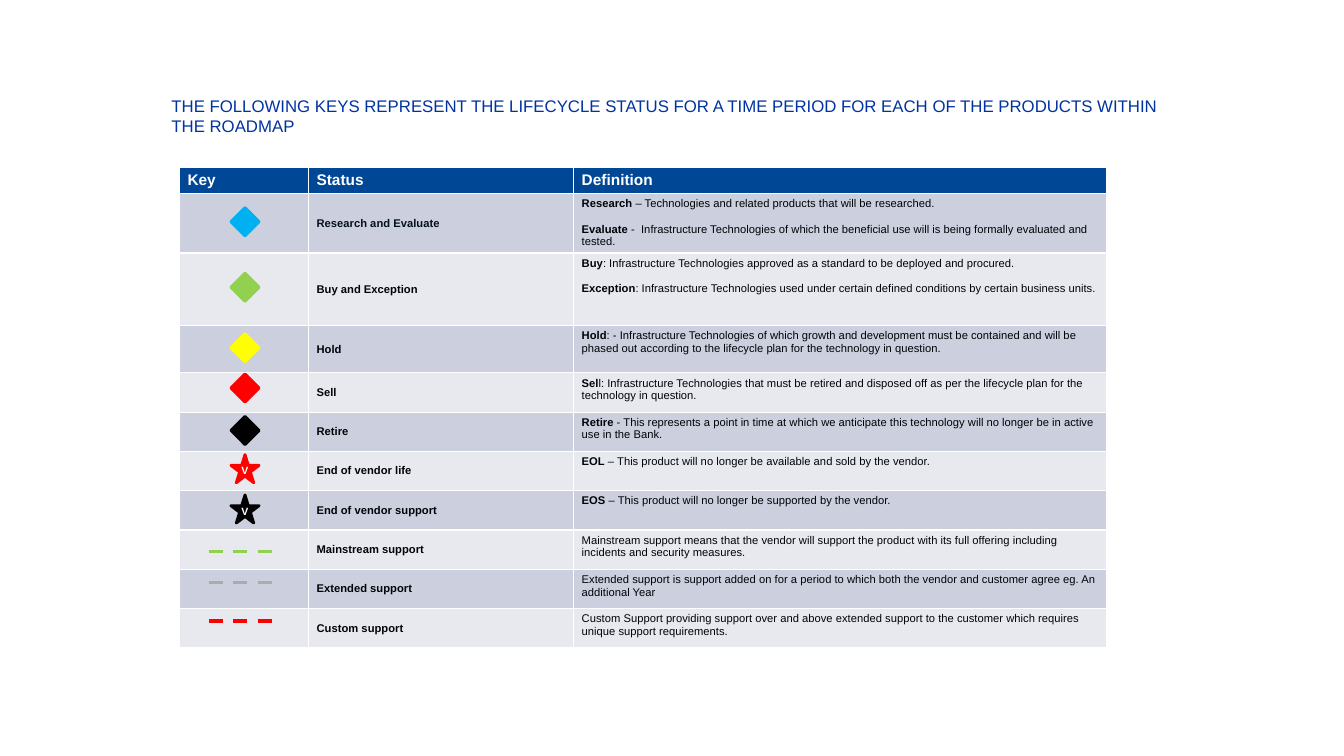
from lxml.etree import SubElement
from pptx import Presentation
from pptx.dml.color import RGBColor
from pptx.enum.dml import MSO_LINE
from pptx.enum.shapes import MSO_CONNECTOR, MSO_SHAPE
from pptx.enum.text import MSO_ANCHOR, MSO_AUTO_SIZE, PP_ALIGN
from pptx.oxml.ns import qn
from pptx.util import Pt

PX = 9144  # one hundredth of an inch


def color(hex_code):
    return RGBColor.from_string(hex_code)


def style(paragraph, size, hex_code, bold=None):
    paragraph.font.name = "Arial"
    paragraph.font.size = Pt(size)
    paragraph.font.color.rgb = color(hex_code)
    paragraph.font.bold = bold


# Status, then definition paragraphs as (bold lead, plain rest)
statuses = [
    ("Research and Evaluate", [
        ("Research", " – Technologies and related products that will be researched."),
        ("Evaluate", " -  Infrastructure Technologies of which the beneficial use will is "
                     "being formally evaluated and tested.")]),
    ("Buy and Exception", [
        ("Buy", ": Infrastructure Technologies approved as a standard to be deployed and procured."),
        ("Exception", ": Infrastructure Technologies used under certain defined conditions "
                      "by certain business units.")]),
    ("Hold", [
        ("Hold", ": - Infrastructure Technologies of which growth and development must be "
                 "contained and will be phased out according to the lifecycle plan for the "
                 "technology in question.")]),
    ("Sell", [
        ("Sel", "l: Infrastructure Technologies that must be retired and disposed off as per "
                "the lifecycle plan for the technology in question.")]),
    ("Retire", [
        ("Retire", " - This represents a point in time at which we anticipate this technology "
                   "will no longer be in active use in the Bank.")]),
    ("End of vendor life", [
        ("EOL", " – This product will no longer be available and sold by the vendor.")]),
    ("End of vendor support", [
        ("EOS", " – This product will no longer be supported by the vendor.")]),
    ("Mainstream support", [
        ("", "Mainstream support means that the vendor will support the product with its full "
             "offering including incidents and security measures.")]),
    ("Extended support", [
        ("", "Extended support is support added on for a period to which both the vendor and "
             "customer agree eg. An additional Year")]),
    ("Custom support", [
        ("", "Custom Support providing support over and above extended support to the customer "
             "which requires unique support requirements.")]),
]

prs = Presentation()
prs.slide_width, prs.slide_height = 1333 * PX, 750 * PX
slide = prs.slides.add_slide(prs.slide_layouts[5])

# Heading
heading = slide.shapes.title
heading.left, heading.top, heading.width, heading.height = 170 * PX, 95 * PX, 987 * PX, 40 * PX
frame = heading.text_frame
frame.text = ("THE FOLLOWING KEYS REPRESENT THE LIFECYCLE STATUS FOR A TIME PERIOD "
              "FOR EACH OF THE PRODUCTS WITHIN THE ROADMAP")
frame.margin_left = frame.margin_top = frame.margin_right = frame.margin_bottom = 0
frame.vertical_anchor = MSO_ANCHOR.TOP
frame.auto_size = MSO_AUTO_SIZE.NONE
frame.word_wrap = True
frame.paragraphs[0].alignment = PP_ALIGN.LEFT
style(frame.paragraphs[0], 12, "0033A1")

# Status table
column_widths = [128, 263, 529]
row_heights = [26, 59, 72, 47] + [39] * 7
table = slide.shapes.add_table(len(row_heights), len(column_widths), 178 * PX, 166 * PX,
                               sum(column_widths) * PX, sum(row_heights) * PX).table
for column, width in zip(table.columns, column_widths):
    column.width = width * PX
for row_index, (row, height) in enumerate(zip(table.rows, row_heights)):
    row.height = height * PX
    for cell in row.cells:
        cell.margin_left = cell.margin_right = 8 * PX
        cell.margin_top = cell.margin_bottom = 4 * PX
        cell.fill.solid()
        cell.fill.fore_color.rgb = color(
            "004795" if row_index == 0 else "CCCFDD" if row_index % 2 else "E7E9EF")

for cell, label in zip(table.rows[0].cells, ["Key", "Status", "Definition"]):
    cell.text = label
    style(cell.text_frame.paragraphs[0], 11, "FFFFFF", True)

for row_index, (status, definition) in enumerate(statuses, 1):
    key_cell, status_cell, definition_cell = table.rows[row_index].cells
    key_cell.text_frame.paragraphs[0].font.size = Pt(8)
    status_cell.text = status
    status_cell.vertical_anchor = MSO_ANCHOR.MIDDLE
    style(status_cell.text_frame.paragraphs[0], 8, "051120" if row_index == 1 else "000408", True)
    for part, (lead, rest) in enumerate(definition):
        frame = definition_cell.text_frame
        paragraph = frame.add_paragraph() if part else frame.paragraphs[0]
        if part:
            paragraph.space_before = Pt(9.2)
        if lead:
            lead_run = paragraph.add_run()
            lead_run.text = lead
            lead_run.font.bold = True
        paragraph.add_run().text = rest
        style(paragraph, 8, "000408")

# Diamond and star keys
for kind, top, fill in [
    (MSO_SHAPE.DIAMOND, 206, "00B0F0"),
    (MSO_SHAPE.DIAMOND, 271, "92D050"),
    (MSO_SHAPE.DIAMOND, 331, "FFFF00"),
    (MSO_SHAPE.DIAMOND, 371, "FF0000"),
    (MSO_SHAPE.DIAMOND, 413, "000000"),
    (MSO_SHAPE.STAR_5_POINT, 451, "FF0000"),
    (MSO_SHAPE.STAR_5_POINT, 491, "000000"),
]:
    key = slide.shapes.add_shape(kind, 229 * PX, top * PX, 28 * PX, 28 * PX)
    key.shadow.inherit = False
    key.fill.solid()
    key.fill.fore_color.rgb = key.line.color.rgb = color(fill)
    key.line.width = Pt(2)
    SubElement(key.line._get_or_add_ln(), qn("a:round"))
    if kind == MSO_SHAPE.STAR_5_POINT:
        frame = key.text_frame
        frame.text = "V"
        frame.margin_left = frame.margin_top = frame.margin_right = frame.margin_bottom = 0
        frame.vertical_anchor = MSO_ANCHOR.MIDDLE
        frame.word_wrap = False
        frame.paragraphs[0].alignment = PP_ALIGN.CENTER
        style(frame.paragraphs[0], 7.5, "FFFFFF", True)

# Dashed support keys
for y, stroke in [(547, "92D050"), (578, "ACACAC"), (616, "FF0000")]:
    support = slide.shapes.add_connector(MSO_CONNECTOR.STRAIGHT,
                                         207 * PX, y * PX, 278 * PX, y * PX)
    support.line.color.rgb = color(stroke)
    support.line.width = Pt(2.5)
    support.line.dash_style = MSO_LINE.DASH
    SubElement(support._element.spPr, qn("a:effectLst"))

prs.save("out.pptx")
